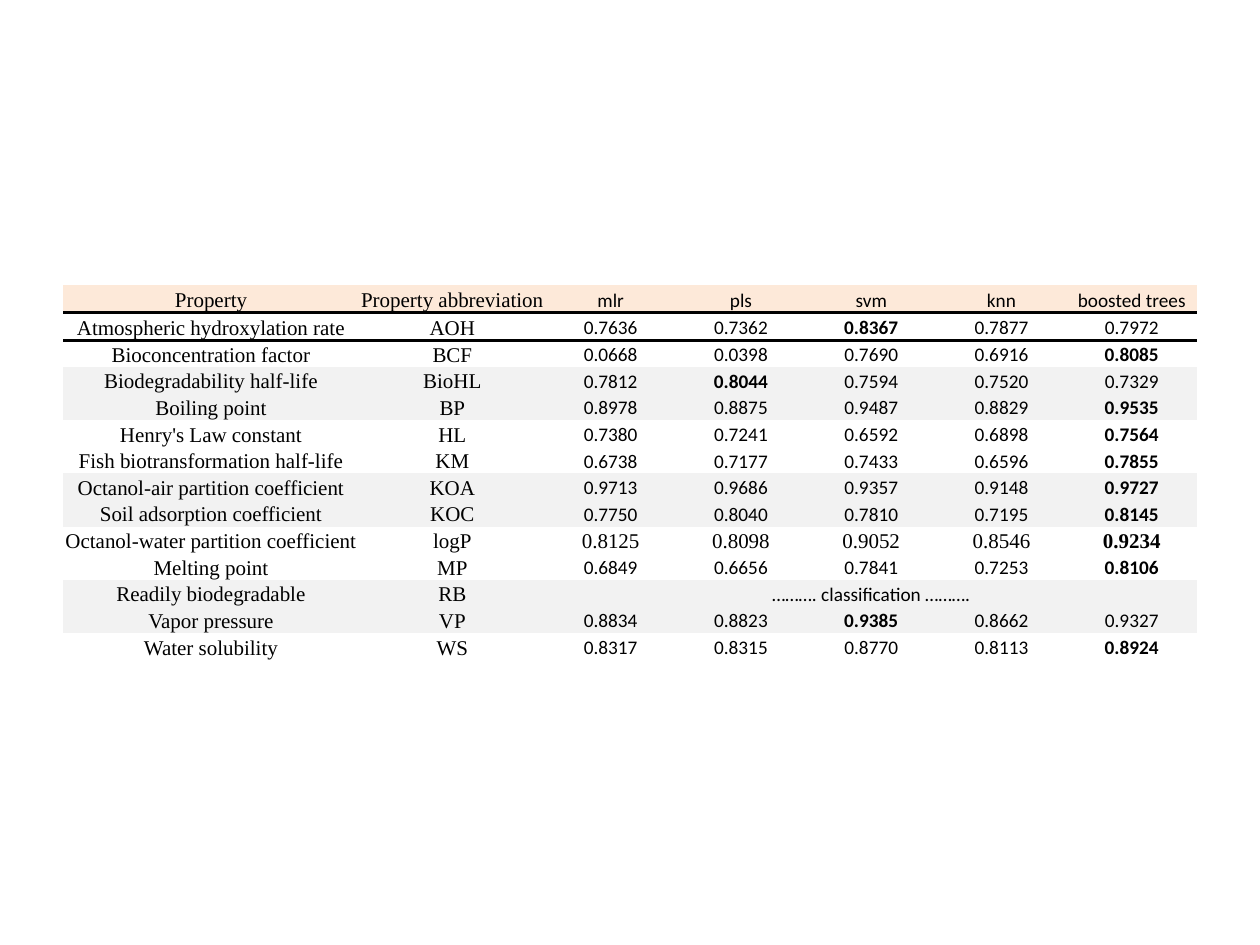
from dataclasses import dataclass

from lxml import etree
from pptx import Presentation
from pptx.dml.color import RGBColor
from pptx.enum.text import MSO_ANCHOR, PP_ALIGN
from pptx.oxml.ns import qn
from pptx.util import Inches, Pt

BOTTOM = MSO_ANCHOR.BOTTOM
CENTER = PP_ALIGN.CENTER
PLAIN = "{2D5ABB26-0587-4C30-8999-92F81FD0307C}"  # table style without grid


@dataclass
class Theme:
    ink: str = "000000"
    head: str = "FDE9D9"
    band: str = "F2F2F2"
    serif: tuple = ("Times New Roman", 12)
    sans: tuple = ("Calibri", 11)
    rule: float = 2


class Page:
    def __init__(self, deck, theme):
        self.theme = theme
        self.slide = deck.slides.add_slide(deck.slide_layouts[6])

    def table(self, left, top, widths, heights):
        frame = self.slide.shapes.add_table(
            len(heights), len(widths), Inches(left), Inches(top),
            Inches(sum(widths)), Inches(sum(heights)))
        grid = frame.table
        grid.first_row = grid.horz_banding = False
        grid._tbl.tblPr.find(qn("a:tableStyleId")).text = PLAIN
        for col, width in zip(grid.columns, widths):
            col.width = Inches(width)
        for row, height in zip(grid.rows, heights):
            row.height = Inches(height)
        return grid

    def cell(self, cell, fill):
        cell.margin_left = cell.margin_right = cell.margin_top = Inches(0.01)
        cell.margin_bottom = 0
        cell.vertical_anchor = BOTTOM
        if fill:
            cell.fill.solid()
            cell.fill.fore_color.rgb = RGBColor.from_string(fill)
        else:
            cell.fill.background()

    def text(self, cell, text, style, bold=False):
        para = cell.text_frame.paragraphs[0]
        para.alignment = CENTER
        run = para.add_run()
        run.text = text
        font = run.font
        font.name, size = style
        font.size = Pt(size)
        font.bold = bold
        font.color.rgb = RGBColor.from_string(self.theme.ink)

    def border(self, cell, side):
        line = etree.Element(qn(f"a:{side}"), w=str(Pt(self.theme.rule)))
        fill = etree.SubElement(line, qn("a:solidFill"))
        etree.SubElement(fill, qn("a:srgbClr"), val=self.theme.ink)
        cell._tc.get_or_add_tcPr().insert(0, line)


# Content
HEAD = ["Property", "Property abbreviation",
        "mlr", "pls", "svm", "knn", "boosted trees"]
NOTE = "………. classification ………."
ROWS = [
    ("Atmospheric hydroxylation rate", "AOH", 0.7636, 0.7362, 0.8367, 0.7877, 0.7972),
    ("Bioconcentration factor", "BCF", 0.0668, 0.0398, 0.7690, 0.6916, 0.8085),
    ("Biodegradability half-life", "BioHL", 0.7812, 0.8044, 0.7594, 0.7520, 0.7329),
    ("Boiling point", "BP", 0.8978, 0.8875, 0.9487, 0.8829, 0.9535),
    ("Henry's Law constant", "HL", 0.7380, 0.7241, 0.6592, 0.6898, 0.7564),
    ("Fish biotransformation half-life", "KM", 0.6738, 0.7177, 0.7433, 0.6596, 0.7855),
    ("Octanol-air partition coefficient", "KOA", 0.9713, 0.9686, 0.9357, 0.9148, 0.9727),
    ("Soil adsorption coefficient", "KOC", 0.7750, 0.8040, 0.7810, 0.7195, 0.8145),
    ("Octanol-water partition coefficient", "logP", 0.8125, 0.8098, 0.9052, 0.8546, 0.9234),
    ("Melting point", "MP", 0.6849, 0.6656, 0.7841, 0.7253, 0.8106),
    ("Readily biodegradable", "RB"),
    ("Vapor pressure", "VP", 0.8834, 0.8823, 0.9385, 0.8662, 0.9327),
    ("Water solubility", "WS", 0.8317, 0.8315, 0.8770, 0.8113, 0.8924),
]

deck = Presentation()
deck.slide_width, deck.slide_height = Inches(10), Inches(7.5)
theme = Theme()
page = Page(deck, theme)

# Grid: two label columns, then equal score columns
widths = [2.35, 1.48] + [(9 - 2.35 - 1.48) / 5] * 5
heights = [0.22] * 2 + [(2.98 - 2 * 0.22) / 12] * 12
grid = page.table(0.5, 2.26, widths, heights)

# Header row, ruled off from the body
for col, label in enumerate(HEAD):
    page.cell(grid.cell(0, col), theme.head)
    page.text(grid.cell(0, col), label, theme.serif if col < 2 else theme.sans)
    page.border(grid.cell(0, col), "lnB")
    page.border(grid.cell(1, col), "lnT")

# Body rows: shaded in pairs, best score in bold
for num, (name, code, *scores) in enumerate(ROWS, 1):
    fill = theme.band if (num - 1) // 2 % 2 else None
    for col in range(len(HEAD)):
        page.cell(grid.cell(num, col), fill)
    for col, label in enumerate((name, code)):
        page.text(grid.cell(num, col), label, theme.serif)
    style = theme.serif if code == "logP" else theme.sans
    for col, score in enumerate(scores, 2):
        page.text(grid.cell(num, col), f"{score:.4f}", style, score == max(scores))
    if not scores:
        grid.cell(num, 2).merge(grid.cell(num, len(HEAD) - 1))
        page.text(grid.cell(num, 2), NOTE, style)

deck.save("out.pptx")
